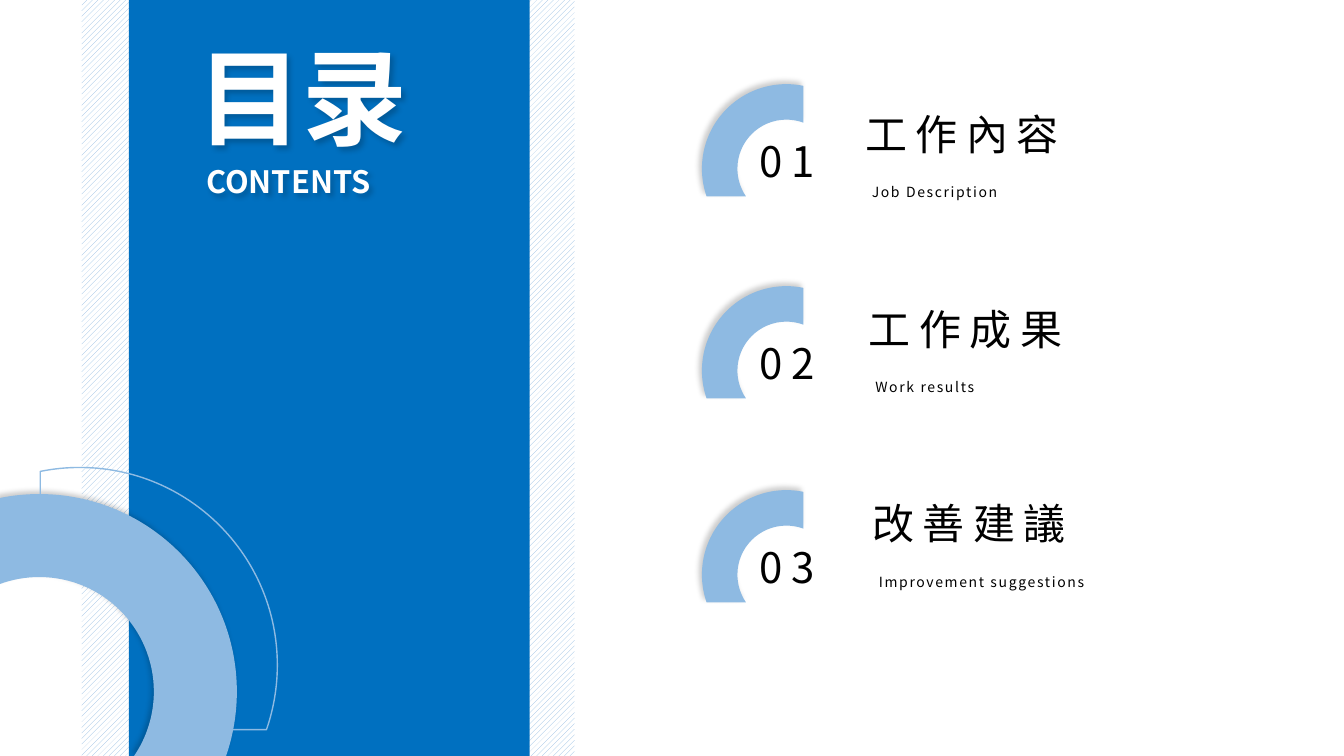
from dataclasses import dataclass
from itertools import pairwise
from math import acos, asin, cos, pi, sin, tan

from lxml import etree
from pptx import Presentation
from pptx.dml.color import RGBColor
from pptx.enum.dml import MSO_PATTERN
from pptx.enum.shapes import MSO_SHAPE
from pptx.enum.text import MSO_ANCHOR, PP_ALIGN
from pptx.oxml.ns import qn
from pptx.util import Cm, Pt

RECTANGLE = MSO_SHAPE.RECTANGLE
HATCH = MSO_PATTERN.WIDE_UPWARD_DIAGONAL
MIDDLE, BOTTOM = MSO_ANCHOR.MIDDLE, MSO_ANCHOR.BOTTOM
LEFT, CENTER, JUSTIFY = PP_ALIGN.LEFT, PP_ALIGN.CENTER, PP_ALIGN.JUSTIFY


@dataclass(frozen=True)
class Theme:
    font: str = "Noto Sans CJK SC"
    white: RGBColor = RGBColor(255, 255, 255)
    black: RGBColor = RGBColor(0, 0, 0)
    blue: RGBColor = RGBColor(0, 112, 192)
    sky: RGBColor = RGBColor(142, 186, 226)
    heading: Pt = Pt(75)
    subheading: Pt = Pt(22)
    entry: Pt = Pt(30)
    caption: Pt = Pt(10)


THEME = Theme()
PAGE_HEIGHT = 19.05
# Height of the ring centre, title, caption
ENTRIES = [
    (4.25, "工作內容", "Job Description"),
    (9.34, "工作成果", "Work results"),
    (14.48, "改善建議", "Improvement suggestions"),
]


def add_shadow(shape, degrees):
    """Soft black shadow in the given direction."""
    shape.shadow.inherit = False
    effects = shape._element.spPr.find(qn("a:effectLst"))
    shadow = etree.SubElement(
        effects, qn("a:outerShdw"), blurRad=str(Pt(4)), dist=str(Pt(3)),
        dir=str(degrees * 60000), algn="ctr", rotWithShape="0")
    color = etree.SubElement(shadow, qn("a:srgbClr"), val="000000")
    etree.SubElement(color, qn("a:alpha"), val="20000")


def add_band(page, left, width):
    """Full-height vertical band, ready for a fill."""
    band = page.shapes.add_shape(
        RECTANGLE, Cm(left), Cm(0), Cm(width), Cm(PAGE_HEIGHT))
    band.shadow.inherit = False
    band.line.fill.background()
    return band


def arc_points(x, y, radius, angles, facing):
    """First point, then two handles and an end point for each curve."""
    def point(angle, reach=0):
        across = cos(angle) - reach * sin(angle)
        up = sin(angle) + reach * cos(angle)
        return Cm(x + facing * radius * across), Cm(y - radius * up)

    points = [point(angles[0])]
    for start, end in pairwise(angles):
        reach = 4 / 3 * tan((end - start) / 4)
        points += [point(start, reach), point(end, -reach), point(end)]
    return points


def bend_lines(shape, starts):
    """Join three line segments from each start into one Bézier curve."""
    lines = list(shape._element.iter(qn("a:lnTo")))
    for start in starts:
        curve = etree.Element(qn("a:cubicBezTo"))
        lines[start].addprevious(curve)
        for line in lines[start:start + 3]:
            curve.append(line[0])
            line.getparent().remove(line)


def add_ring(page, x, y, radius, facing=1, filled=True):
    """Ring cut by a vertical and a horizontal edge; facing -1 mirrors it."""
    inner, side, drop = radius * 0.58, radius * 0.2, radius * 0.327

    def angles(size):
        return [-asin(drop / size), 0, pi / 2, acos(-side / size)]

    points = (arc_points(x, y, radius, angles(radius), facing)
              + arc_points(x, y, inner, angles(inner)[::-1], facing))
    builder = page.shapes.build_freeform(*points[0])
    builder.add_line_segments(points[1:], close=True)
    ring = builder.convert_to_shape()
    bend_lines(ring, (0, 3, 6, 10, 13, 16))
    if filled:
        ring.fill.solid()
        ring.fill.fore_color.rgb = THEME.sky
        ring.line.fill.background()
        add_shadow(ring, 225)
    else:
        ring.fill.background()
        ring.line.color.rgb = THEME.sky
        ring.line.width = Pt(1)
        ring.shadow.inherit = False


def add_text(page, place, text, size, color=THEME.black, align=JUSTIFY,
             anchor=MIDDLE, bold=False, spacing=0):
    box = page.shapes.add_textbox(*map(Cm, place))
    frame = box.text_frame
    para = frame.paragraphs[0]
    span = para.add_run()
    span.text = text
    formats = [
        (frame, {"word_wrap": True, "vertical_anchor": anchor}),
        (para, {"alignment": align}),
        (span.font, {"name": THEME.font, "size": size, "bold": bold}),
        (span.font.color, {"rgb": color}),
    ]
    for target, values in formats:
        for name, value in values.items():
            setattr(target, name, value)
    properties = span._r.get_or_add_rPr()
    properties.set("spc", str(round(spacing * 100)))
    etree.SubElement(properties, qn("a:ea"), typeface=THEME.font)
    return box


def add_entry(page, index, ring_y, title, caption):
    """Numbered ring with a title and its caption."""
    left, top = 21.56 + 0.09 * index, 2.77 + 4.91 * index
    add_ring(page, 19.82, ring_y, 2.13, facing=-1)
    add_text(page, (18.56, ring_y - 1.08, 2.57, 1.78), f"{index + 1:02}",
             THEME.entry, align=CENTER, spacing=6)
    add_text(page, (left, top, 8.08, 1.19), title, THEME.entry, spacing=6)
    add_text(page, (left + 0.16, top + 1.71, 9.4, 0.69), caption,
             THEME.caption, align=LEFT, anchor=BOTTOM, spacing=1.2)


def main():
    deck = Presentation()
    deck.slide_width, deck.slide_height = Cm(33.87), Cm(PAGE_HEIGHT)
    page = deck.slides.add_slide(deck.slide_layouts[6])

    # Hatched band behind the blue panel
    hatch = add_band(page, 2.06, 12.42).fill
    hatch.patterned()
    hatch.pattern = HATCH
    hatch.fore_color.rgb, hatch.back_color.rgb = THEME.sky, THEME.white
    panel = add_band(page, 3.25, 10.1).fill
    panel.solid()
    panel.fore_color.rgb = THEME.blue

    # Corner rings
    add_ring(page, 0.99, 17.43, 4.98)
    add_ring(page, 2.01, 16.76, 4.98, filled=False)

    # Panel heading
    for place, text, size in [
        ((4.73, 0.68, 6.17, 3.45), "目录", THEME.heading),
        ((4.95, 3.97, 5.97, 1.19), "CONTENTS", THEME.subheading),
    ]:
        add_shadow(add_text(page, place, text, size, THEME.white, bold=True), 45)

    # Contents list
    for index, entry in enumerate(ENTRIES):
        add_entry(page, index, *entry)

    deck.save("out.pptx")


if __name__ == "__main__":
    main()
